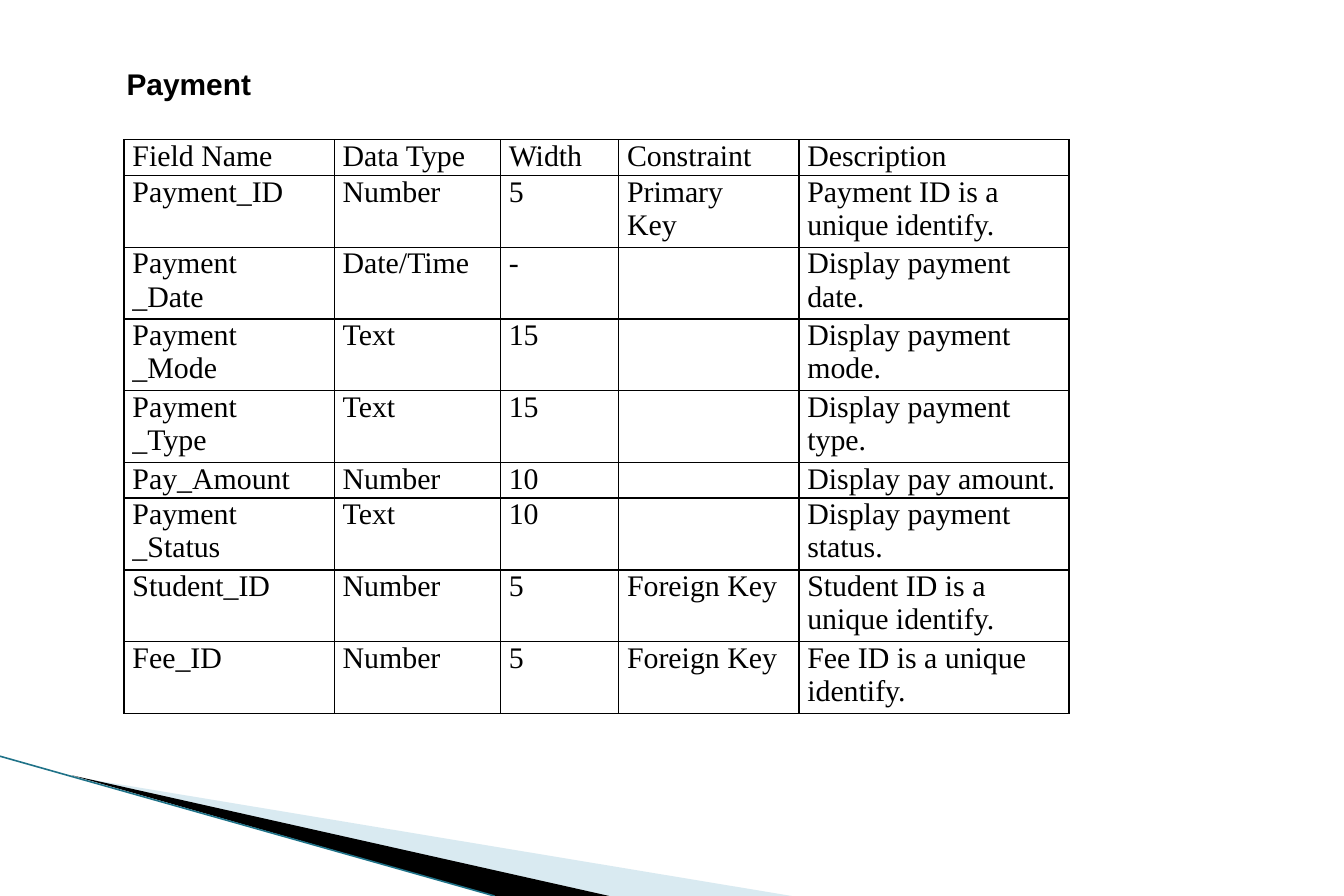
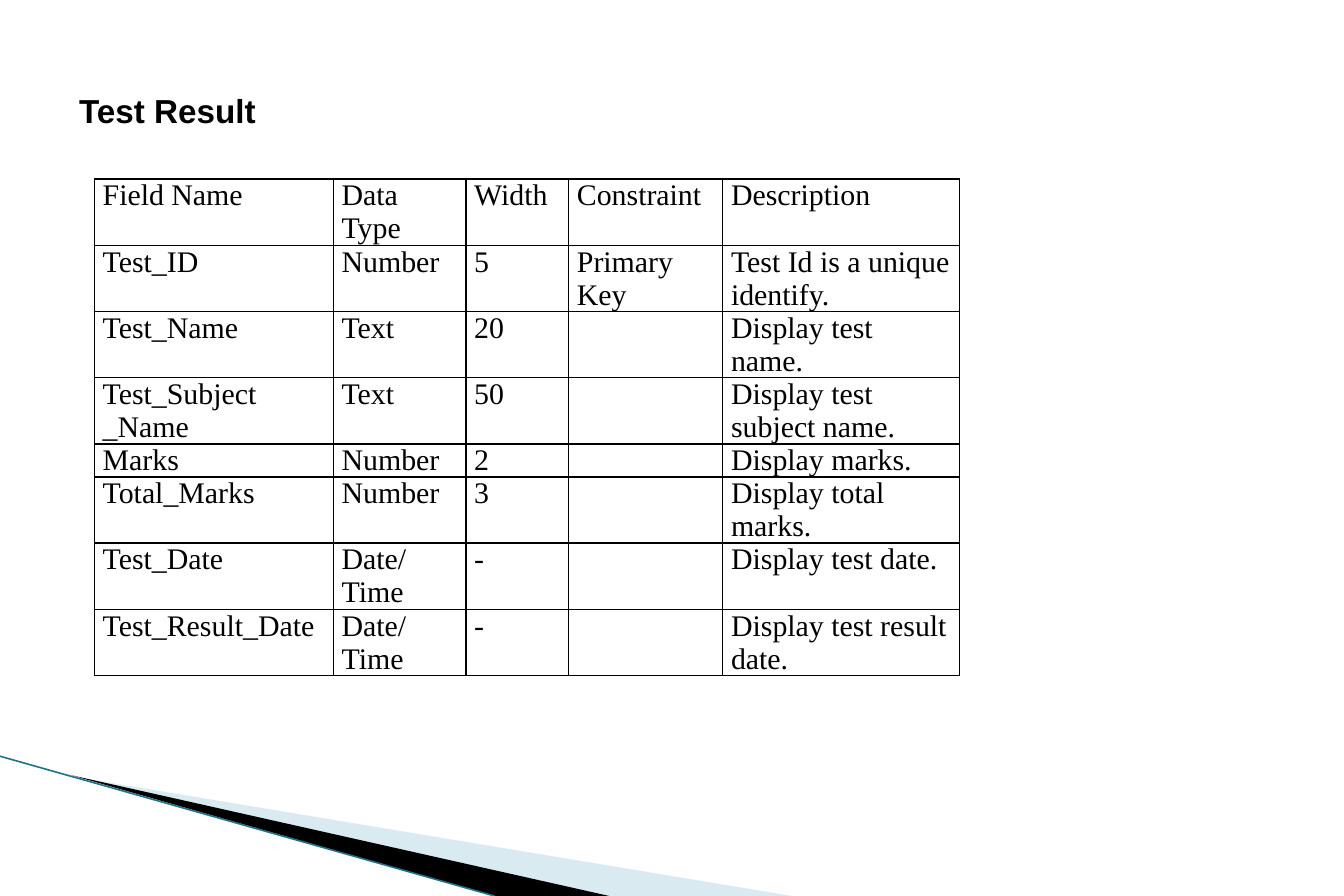
from lxml import etree
from pptx import Presentation
from pptx import util as u
from pptx.dml.color import RGBColor
from pptx.enum import shapes, text
from pptx.oxml.ns import qn

WIDE, HIGH = u.Inches(11.25), u.Inches(7.5)
BLACK, PALE, TEAL = "000000", "A0CBDC", "1F7288"
HEAD = ("Field Name", "Data Type", "Width", "Constraint", "Description")
KEY = "Primary\nKey"

PAYMENT = (
    HEAD,
    ("Payment_ID", "Number", "5", KEY, "Payment ID is a unique identify."),
    ("Payment\n_Date", "Date/Time", "-", "", "Display payment date."),
    ("Payment\n_Mode", "Text", "15", "", "Display payment mode."),
    ("Payment\n_Type", "Text", "15", "", "Display payment type."),
    ("Pay_Amount", "Number", "10", "", "Display pay amount."),
    ("Payment\n_Status", "Text", "10", "", "Display payment status."),
    ("Student_ID", "Number", "5", "Foreign Key", "Student ID is a unique identify."),
    ("Fee_ID", "Number", "5", "Foreign Key", "Fee ID is a unique identify."),
)
RESULT = (
    HEAD,
    ("Test_ID", "Number", "5", KEY, "Test Id is a unique identify."),
    ("Test_Name", "Text", "20", "", "Display test name."),
    ("Test_Subject\n_Name", "Text", "50", "", "Display test subject name."),
    ("Marks", "Number", "2", "", "Display marks."),
    ("Total_Marks", "Number", "3", "", "Display total marks."),
    ("Test_Date", "Date/Time", "-", "", "Display test date."),
    ("Test_Result_Date", "Date/Time", "-", "", "Display test result date."),
)


def across(share):
    """Length of a percentage of the slide's width."""
    return round(WIDE * share / 100)


def down(share):
    """Length of a percentage of the slide's height."""
    return round(HIGH * share / 100)


def color(code):
    return RGBColor.from_string(code)


def style(para, name, size, bold=False):
    para.alignment = text.PP_ALIGN.LEFT
    font = para.font
    font.name, font.size, font.bold = name, u.Pt(size), bold
    font.color.rgb = color(BLACK)


def wedge(slide, points, code, alpha=100):
    spots = [(across(x), down(y)) for x, y in points]
    pen = slide.shapes.build_freeform(*spots[0])
    pen.add_line_segments(spots[1:])
    shape = pen.convert_to_shape()
    shape.shadow.inherit = False
    shape.line.fill.background()
    shape.fill.solid()
    shape.fill.fore_color.rgb = color(code)
    if alpha < 100:
        tint = shape.element.spPr.find(".//" + qn("a:srgbClr"))
        etree.SubElement(tint, qn("a:alpha"), val=str(alpha * 1000))
    return shape


def edge(slide, start, end):
    line = slide.shapes.add_connector(
        shapes.MSO_CONNECTOR.STRAIGHT,
        across(start[0]), down(start[1]), across(end[0]), down(end[1]))
    line.line.color.rgb = color(TEAL)
    line.line.width = u.Pt(0.95)
    etree.SubElement(line.element.spPr, qn("a:effectLst"))
    return line


def corner(slide, layout):
    """Draw the corner wedges and hand them to the layout that slides share."""
    for spare in [p for p in layout.placeholders if p.placeholder_format.idx]:
        spare.element.getparent().remove(spare.element)
    parts = (
        wedge(slide, [(5.42, 86.67), (58.93, 100), (45.33, 100)], PALE, 40),
        wedge(slide, [(5.33, 86.53), (45.33, 100), (36.8, 100)], BLACK),
        edge(slide, (0, 84.4), (36.8, 100)),
    )
    for part in parts:
        layout.shapes.element.append(part.element)


def title(slide, words, size, left, top, width, height):
    box = slide.shapes.title
    box.left, box.top = across(left), down(top)
    box.width, box.height = across(width), down(height)
    frame = box.text_frame
    frame.text = words
    frame.auto_size = text.MSO_AUTO_SIZE.NONE
    frame.vertical_anchor = text.MSO_ANCHOR.MIDDLE
    style(frame.paragraphs[0], "Arial", size, True)


def border(cell):
    props = cell._tc.get_or_add_tcPr()
    for spot, side in enumerate(("lnL", "lnR", "lnT", "lnB")):
        line = etree.Element(qn("a:" + side), w=str(u.Pt(1)))
        fill = etree.SubElement(line, qn("a:solidFill"))
        etree.SubElement(fill, qn("a:srgbClr"), val=BLACK)
        props.insert(spot, line)


def fill(cell, words):
    cell.text = words
    cell.margin_left = cell.margin_right = u.Inches(0.07)
    cell.margin_top = cell.margin_bottom = 0
    cell.fill.background()
    border(cell)
    for para in cell.text_frame.paragraphs:
        style(para, "Times New Roman", 18)


def grid(slide, rows, left, top, cols, line, short):
    """Rows are two lines high, save the short ones; line is one line's share."""
    highs = [line if at in short else 2 * line for at in range(len(rows))]
    table = slide.shapes.add_table(
        len(rows), len(cols), across(left), down(top),
        across(sum(cols)), down(sum(highs))).table
    table.first_row = table.horz_banding = False
    for col, width in zip(table.columns, cols):
        col.width = across(width)
    for row, high, words in zip(table.rows, highs, rows):
        row.height = down(high)
        for cell, word in zip(row.cells, words):
            fill(cell, word)


def main():
    deck = Presentation()
    deck.slide_width, deck.slide_height = WIDE, HIGH
    layout = deck.slide_layouts.get_by_name("Title Only")

    pay = deck.slides.add_slide(layout)
    corner(pay, layout)
    title(pay, "Payment", 18, 8.53, 6.67, 30, 5.33)
    grid(pay, PAYMENT, 9.24, 15.6, (15.64, 12.36, 8.8, 13.42, 20.09), 4, (0, 5))

    test = deck.slides.add_slide(layout)
    title(test, "Test Result", 20, 5, 4, 90, 16.67)
    grid(test, RESULT, 7.02, 20, (17.78, 9.87, 7.64, 11.47, 17.6), 3.69, (4,))

    deck.save("out.pptx")


if __name__ == "__main__":
    main()
